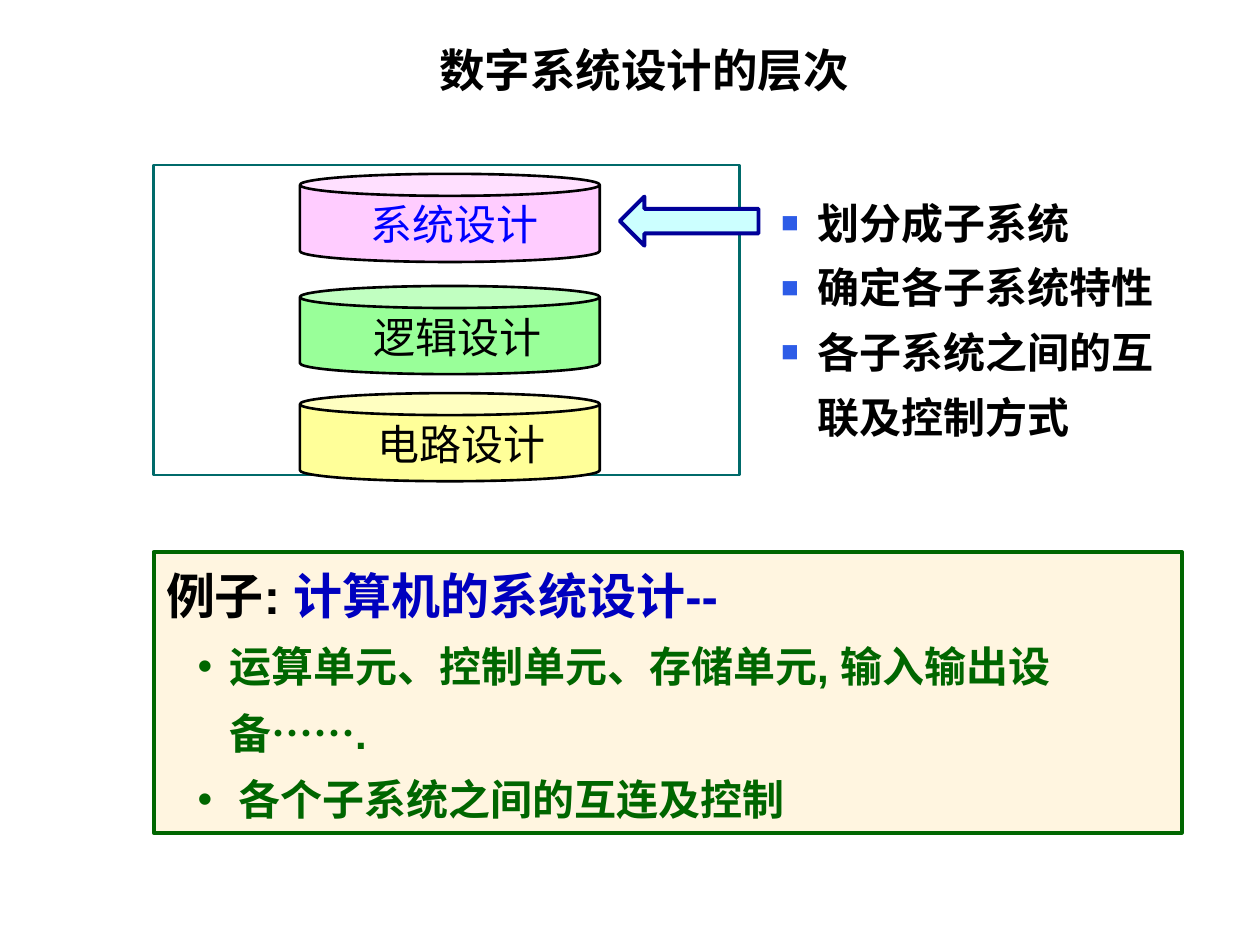
import pptx
import pptx.dml.color
import pptx.enum.shapes
import pptx.enum.text
import pptx.oxml
import pptx.oxml.ns
import pptx.util

Inches, Pt = pptx.util.Inches, pptx.util.Pt
SHAPES = pptx.enum.shapes.MSO_SHAPE
ALIGN = pptx.enum.text.PP_ALIGN
ANCHOR = pptx.enum.text.MSO_ANCHOR

COLORS = {
    "black": "000000", "teal": "006A6A", "pink": "FFCCFF", "mint": "99FF99",
    "yellow": "FFFF99", "blue": "0000FF", "bullet": "2D5CE7", "cream": "FFF5E0",
    "green": "006600", "navy": "0000BF", "arrow": "CCFFFF", "arrow_line": "000099",
}
COLUMNS, ROWS = 100, 75


class SlideBuilder:
    """Draws on one slide; boxes are (column, row, columns, rows) of the grid."""

    def __init__(self, presentation):
        self.column = presentation.slide_width / COLUMNS
        self.row = presentation.slide_height / ROWS
        self.slide = presentation.slides.add_slide(presentation.slide_layouts[1])

    def color(self, name):
        return pptx.dml.color.RGBColor.from_string(COLORS[name])

    def place(self, box):
        left, top, width, height = box
        return [int(length) for length in (left * self.column, top * self.row,
                                           width * self.column, height * self.row)]

    def frame(self, shape, anchor=ANCHOR.TOP):
        text_frame = shape.text_frame
        text_frame.word_wrap = True
        text_frame.auto_size = pptx.enum.text.MSO_AUTO_SIZE.NONE
        text_frame.vertical_anchor = anchor
        text_frame.margin_left = text_frame.margin_right = Inches(0.1)
        text_frame.margin_top = text_frame.margin_bottom = Inches(0.05)
        return text_frame

    def format(self, paragraph, size, color="black", bold=True, align=ALIGN.LEFT, spacing=None):
        paragraph.alignment = align
        paragraph.space_before = Pt(0)
        if spacing:
            paragraph.line_spacing = Pt(spacing)
        for run in paragraph.runs:
            run.font.name = "Arial"
            run.font.size = Pt(size)
            run.font.bold = bold
            run.font.color.rgb = self.color(color)

    def bullet(self, paragraph, character, color, percent, margin, hanging):
        properties = paragraph._p.get_or_add_pPr()
        properties.set("marL", str(Inches(margin)))
        properties.set("indent", str(-Inches(hanging)))
        namespace = pptx.oxml.ns.nsdecls("a")
        for element in (
            f'<a:buClr {namespace}><a:srgbClr val="{COLORS[color]}"/></a:buClr>',
            f'<a:buSzPct {namespace} val="{percent * 1000}"/>',
            f'<a:buFont {namespace} typeface="Arial"/>',
            f'<a:buChar {namespace} char="{character}"/>',
        ):
            properties.append(pptx.oxml.parse_xml(element))

    def placeholder(self, index, box):
        shape = self.slide.placeholders[index]
        shape.left, shape.top, shape.width, shape.height = self.place(box)
        return shape

    def title(self, text, box):
        text_frame = self.frame(self.placeholder(0, box), ANCHOR.MIDDLE)
        text_frame.text = text
        self.format(text_frame.paragraphs[0], 26, align=ALIGN.CENTER)

    def body_list(self, items, box):
        text_frame = self.frame(self.placeholder(1, box))
        text_frame.text = "\n".join(items)
        for paragraph in text_frame.paragraphs:
            self.bullet(paragraph, "■", "bullet", 70, 0.29, 0.29)
            self.format(paragraph, 24, spacing=37)

    def shape(self, kind, box, line, width, fill=None):
        shape = self.slide.shapes.add_shape(kind, *self.place(box))
        shape.shadow.inherit = False
        if fill:
            shape.fill.solid()
            shape.fill.fore_color.rgb = self.color(fill)
        else:
            shape.fill.background()
        shape.line.color.rgb = self.color(line)
        shape.line.width = Pt(width)
        return shape

    def label(self, text, box, color):
        text_frame = self.frame(self.slide.shapes.add_textbox(*self.place(box)))
        text_frame.text = text
        self.format(text_frame.paragraphs[0], 24, color, bold=False, align=ALIGN.CENTER)

    def example(self, heading, topic, items, box):
        panel = self.shape(SHAPES.RECTANGLE, box, "green", 2.25, "cream")
        text_frame = self.frame(panel)
        text_frame.text = "\n".join([heading, *items])
        first, *rest = text_frame.paragraphs
        first.add_run().text = topic
        self.format(first, 28, spacing=38)
        first.runs[1].font.color.rgb = self.color("navy")
        for paragraph in rest:
            paragraph.level = 1
            self.bullet(paragraph, "•", "green", 100, 0.5, 0.25)
            self.format(paragraph, 24, "green", spacing=38)


def main():
    presentation = pptx.Presentation()
    presentation.slide_width, presentation.slide_height = Inches(10), Inches(7.5)
    builder = SlideBuilder(presentation)

    builder.title("数字系统设计的层次", (10.6, 2.8, 81.1, 5.4))
    builder.body_list(["划分成子系统", "确定各子系统特性", "各子系统之间的互联及控制方式"],
                      (61, 14, 32.8, 21.8))

    builder.shape(SHAPES.RECTANGLE, (12.2, 13.1, 46.5, 24.6), "teal", 1.5)
    layers = [
        ("系统设计", "pink", "blue", 13.8, 23.8),
        ("逻辑设计", "mint", "black", 22.7, 24),
        ("电路设计", "yellow", "black", 31.2, 24.3),
    ]
    for text, fill, color, top, label_left in layers:
        can = builder.shape(SHAPES.CAN, (23.8, top, 23.8, 7), "black", 1.5, fill)
        can.adjustments[0] = 0.25
        builder.label(text, (label_left, top + 1.5, 24.6, 5), color)

    builder.example("例子: ", "计算机的系统设计--",
                    ["运算单元、控制单元、存储单元, 输入输出设备…….", " 各个子系统之间的互连及控制"],
                    (12.2, 43.8, 81.6, 22.3))
    builder.shape(SHAPES.LEFT_ARROW, (49.2, 15.6, 11, 3.9), "arrow_line", 2.25, "arrow")
    presentation.save("out.pptx")


if __name__ == "__main__":
    main()
